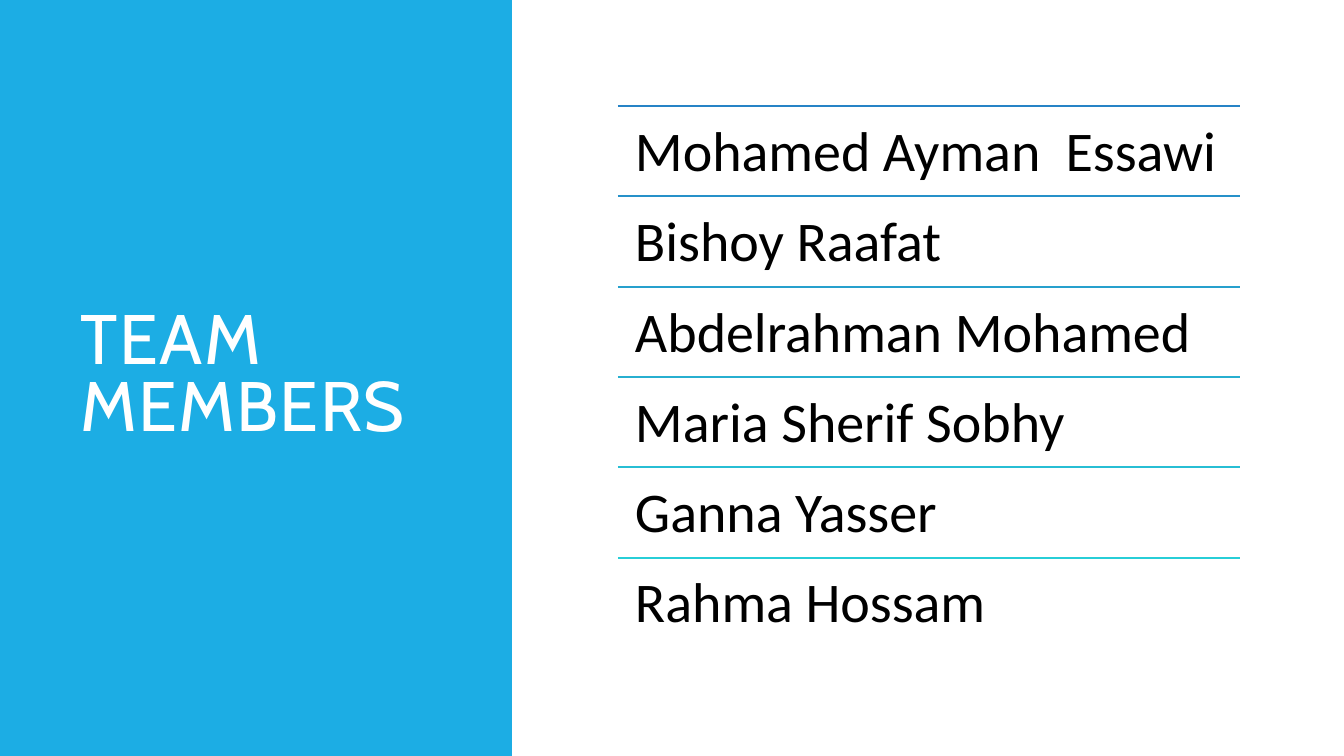
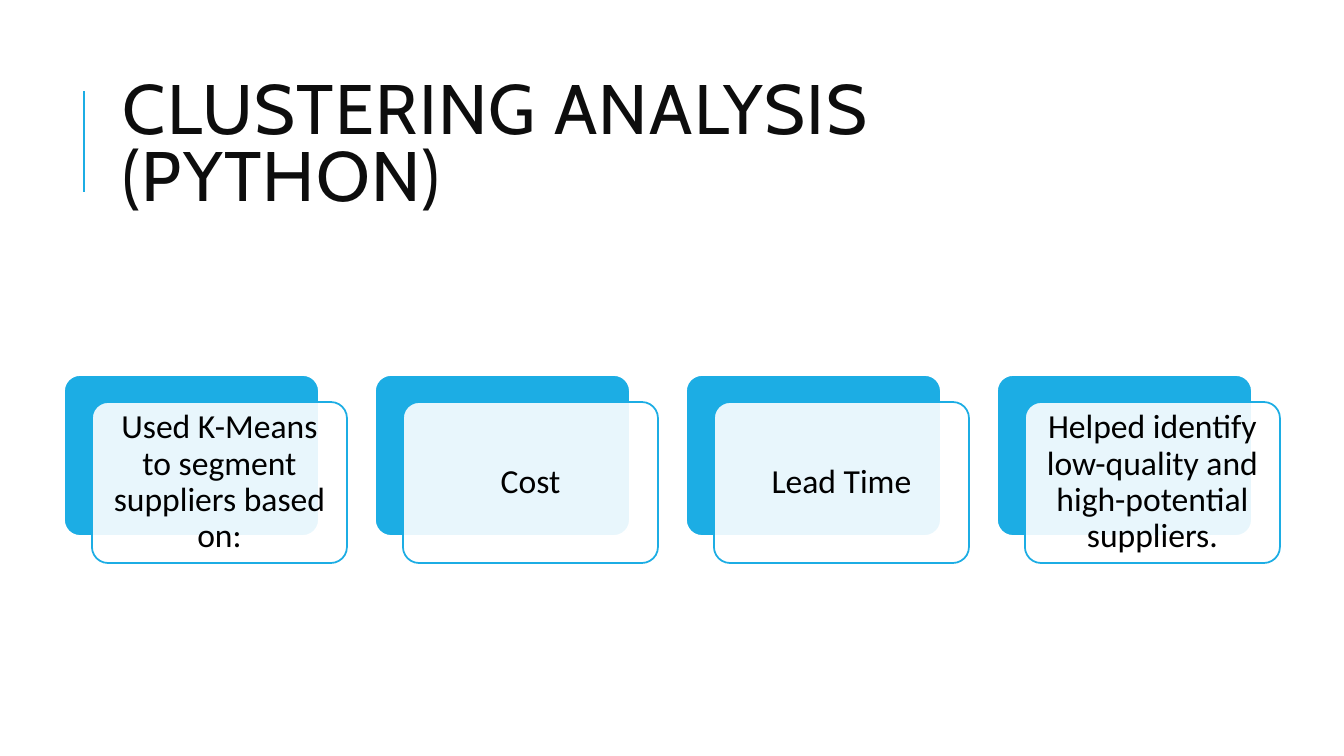
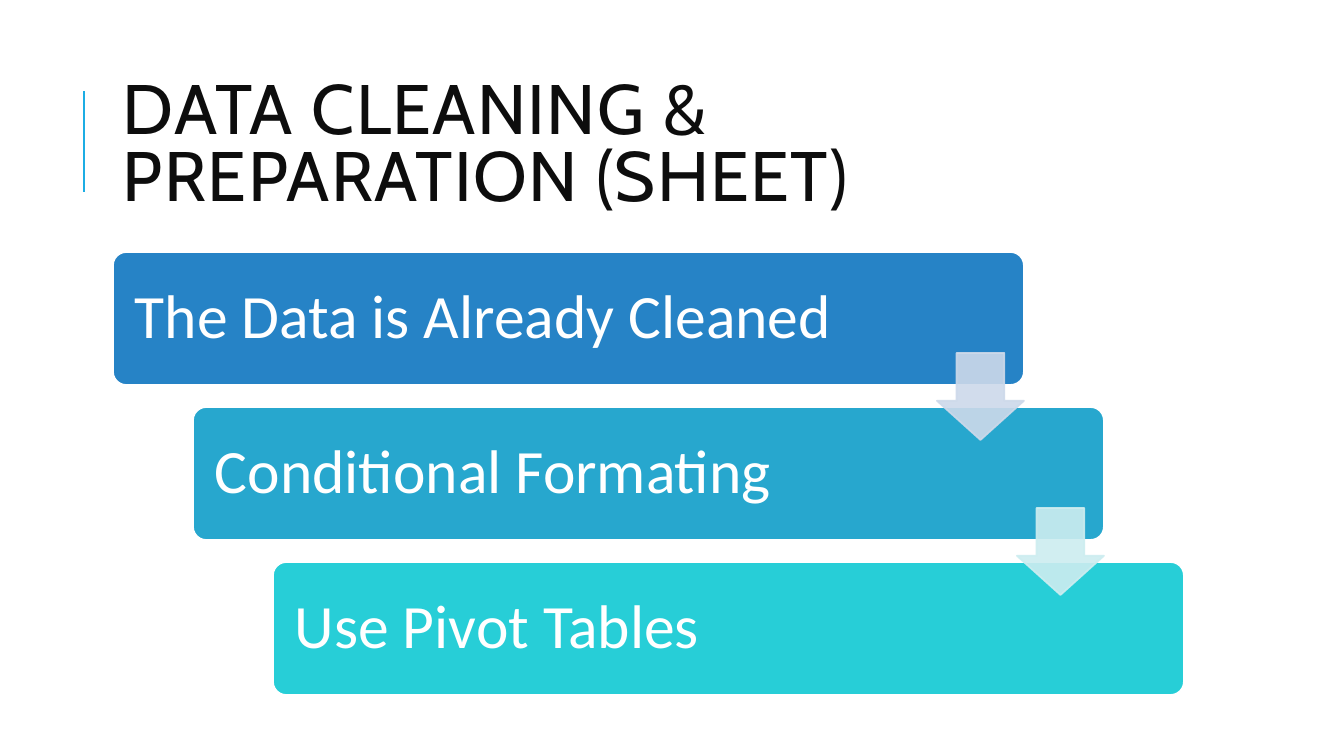
from pptx import Presentation
from pptx.dml.color import RGBColor
from pptx.enum.shapes import MSO_CONNECTOR, MSO_SHAPE
from pptx.enum.text import MSO_ANCHOR, PP_ALIGN
from pptx.oxml.ns import qn
from pptx.util import Pt
from lxml import etree

RECT, ROUNDED = MSO_SHAPE.RECTANGLE, MSO_SHAPE.ROUNDED_RECTANGLE
DOWN_ARROW = MSO_SHAPE.DOWN_ARROW
STRAIGHT = MSO_CONNECTOR.STRAIGHT
TOP, MIDDLE = MSO_ANCHOR.TOP, MSO_ANCHOR.MIDDLE
LEFT, CENTER = PP_ALIGN.LEFT, PP_ALIGN.CENTER

WHITE = RGBColor(0xFF, 0xFF, 0xFF)
BLACK = RGBColor(0x00, 0x00, 0x00)
INK = RGBColor(0x0D, 0x0D, 0x0D)
SKY = RGBColor(0x1C, 0xAD, 0xE4)
BLUE = RGBColor(0x26, 0x83, 0xC6)
AZURE = RGBColor(0x26, 0x91, 0xC9)
CERULEAN = RGBColor(0x26, 0xA0, 0xCD)
OCEAN = RGBColor(0x27, 0xA7, 0xCE)
LAGOON = RGBColor(0x27, 0xAF, 0xD0)
AQUA = RGBColor(0x27, 0xBE, 0xD4)
TURQUOISE = RGBColor(0x27, 0xCE, 0xD7)
PALE_BLUE = RGBColor(0xCD, 0xD9, 0xEA)
PALE_AQUA = RGBColor(0xCD, 0xED, 0xF0)

TITLE_FONT, BODY_FONT = "Cabin", "Calibri"
OUTLINE = 1.25
SLIDE_W, SLIDE_H = 1344, 756
EMU_PER_PX = 12192000 / SLIDE_W

MEMBERS = [
    ("Mohamed Ayman  Essawi", BLUE),
    ("Bishoy Raafat", AZURE),
    ("Abdelrahman Mohamed", CERULEAN),
    ("Maria Sherif Sobhy", LAGOON),
    ("Ganna Yasser", AQUA),
    ("Rahma Hossam", TURQUOISE),
]
CARDS = [
    "Used K-Means to segment suppliers based on:",
    "Cost",
    "Lead Time",
    "Helped identify low-quality and high-potential suppliers.",
]
STEPS = [
    ("The Data is Already Cleaned", BLUE),
    ("Conditional Formating", OCEAN),
    ("Use Pivot Tables", TURQUOISE),
]
ARROW_COLORS = [PALE_BLUE, PALE_AQUA]


def px(value):
    return round(value * EMU_PER_PX)


def set_opacity(element, percent):
    """Give every solid colour inside the element the same opacity."""
    for color in element.iter(qn("a:srgbClr")):
        etree.SubElement(color, qn("a:alpha")).set("val", str(percent * 1000))


def add_block(page, kind, area, fill, line=None, adjust=()):
    block = page.shapes.add_shape(kind, *map(px, area))
    block.shadow.inherit = False
    for index, value in enumerate(adjust):
        block.adjustments[index] = value
    block.fill.solid()
    block.fill.fore_color.rgb = fill
    if line is None:
        block.line.fill.background()
    else:
        block.line.color.rgb = line
        block.line.width = Pt(OUTLINE)
    return block


def add_line(page, start, end, color, width):
    line = page.shapes.add_connector(STRAIGHT, *map(px, start + end))
    line.line.color.rgb = color
    line.line.width = Pt(width)
    etree.SubElement(line._element.spPr, qn("a:effectLst"))


def write(box, text, size, color, inset, font=BODY_FONT, anchor=MIDDLE,
          align=LEFT, spacing=0.9):
    frame = box.text_frame
    frame.text = text
    frame.word_wrap = True
    frame.vertical_anchor = anchor
    frame.margin_left = frame.margin_right = px(inset)
    frame.margin_top = frame.margin_bottom = px(inset)
    para = frame.paragraphs[0]
    para.alignment = align
    para.line_spacing = spacing
    span = para.runs[0]
    span.font.name = font
    span.font.size = Pt(size)
    span.font.color.rgb = color
    return span


def add_title(page, text, area, color):
    box = page.shapes.add_textbox(*map(px, area))
    span = write(box, text, 50, color, 10, font=TITLE_FONT, spacing=0.8)
    span.font._element.set("spc", "100")


def add_page(deck):
    return deck.slides.add_slide(deck.slide_layouts[6])


def add_titled_page(deck, title):
    page = add_page(deck)
    add_line(page, (84, 192), (84, 91), SKY, 1.5)
    add_title(page, title, (113, 65, 1071, 165), INK)
    return page


def build_team(deck):
    page = add_page(deck)
    add_block(page, RECT, (0, 0, 512, SLIDE_H), SKY)
    add_title(page, "TEAM MEMBERS", (71, 71, 377, 614), WHITE)
    left, top, width, height = 618, 106, 622, 542
    row = height / len(MEMBERS)
    for index, (name, color) in enumerate(MEMBERS):
        y = top + index * row
        add_line(page, (left, y), (left + width, y), color, OUTLINE)
        box = page.shapes.add_textbox(*map(px, (left, y, width, row)))
        write(box, name, 40, BLACK, 17, anchor=TOP)


def build_clustering(deck):
    page = add_titled_page(deck, "CLUSTERING ANALYSIS (PYTHON)")
    left, top, width, height = 64, 375, 255, 161
    pitch, shift_x, shift_y = 311, 28, 27
    for index, text in enumerate(CARDS):
        x = left + index * pitch
        add_block(page, ROUNDED, (x, top, width, height), SKY, WHITE, [0.1])
        front = add_block(page, ROUNDED,
                          (x + shift_x, top + shift_y, width, height),
                          WHITE, SKY, [0.1])
        set_opacity(front._element.spPr.find(qn("a:solidFill")), 90)
        write(front, text, 24, BLACK, 10, align=CENTER)


def build_cleaning(deck):
    page = add_titled_page(deck, "DATA CLEANING & PREPARATION (SHEET)")
    left, top, width, height = 113, 252, 911, 133
    shift_x, shift_y = 80, 155
    arrow, arrow_drop = 87, 101
    for index, (text, color) in enumerate(STEPS):
        area = (left + index * shift_x, top + index * shift_y, width, height)
        step = add_block(page, ROUNDED, area, color, WHITE, [0.1])
        write(step, text, 44, WHITE, 18)
    for index, color in enumerate(ARROW_COLORS):
        area = (left + width - arrow + index * shift_x,
                top + arrow_drop + index * shift_y, arrow, arrow)
        pointer = add_block(page, DOWN_ARROW, area, color, color, [0.55, 0.45])
        set_opacity(pointer._element.spPr, 90)


def main():
    deck = Presentation()
    deck.slide_width, deck.slide_height = px(SLIDE_W), px(SLIDE_H)
    build_team(deck)
    build_clustering(deck)
    build_cleaning(deck)
    deck.save("out.pptx")


if __name__ == "__main__":
    main()
